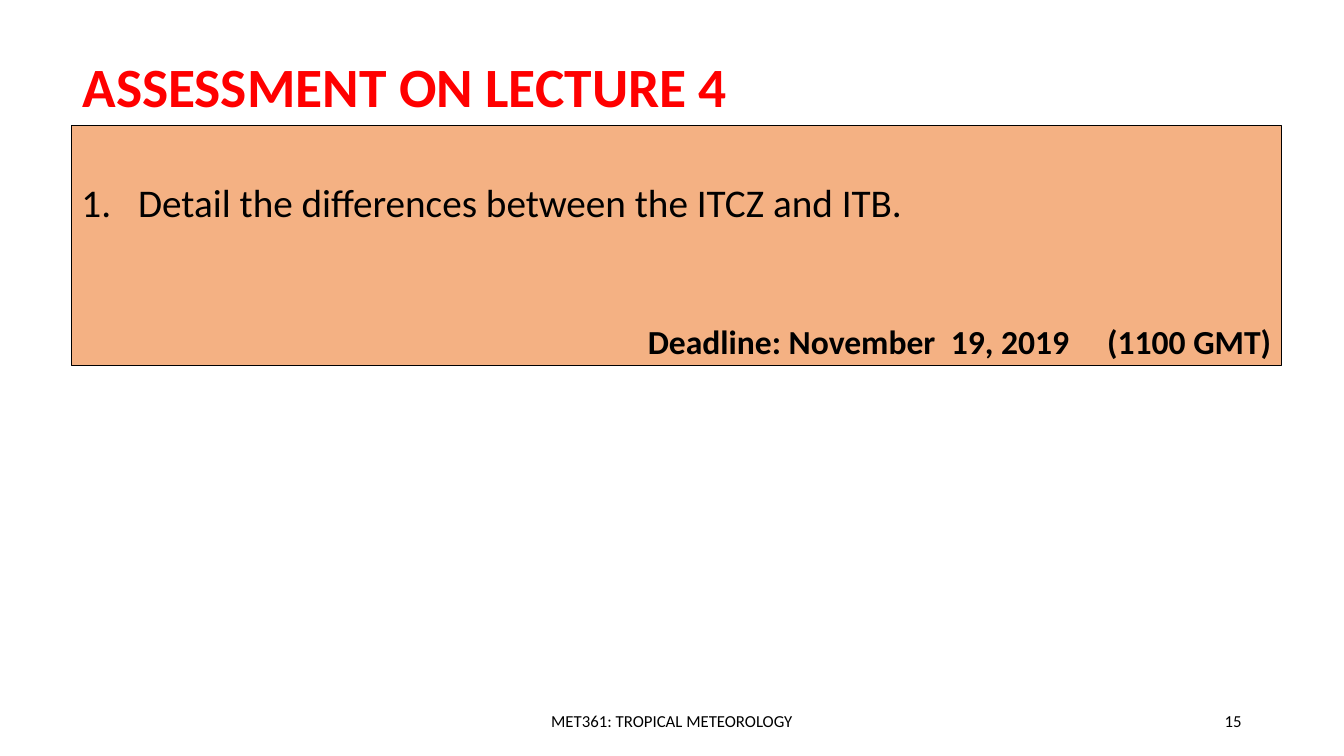
import pptx
import pptx.dml.color
import pptx.enum.shapes
import pptx.enum.text
import pptx.util
from pptx.util import Pt

RED = pptx.dml.color.RGBColor(0xFF, 0x00, 0x00)
BLACK = pptx.dml.color.RGBColor(0x00, 0x00, 0x00)
WHITE = pptx.dml.color.RGBColor(0xFF, 0xFF, 0xFF)
PEACH = pptx.dml.color.RGBColor(0xF4, 0xB1, 0x83)
ALIGN = pptx.enum.text.PP_ALIGN
ANCHOR = pptx.enum.text.MSO_ANCHOR


class Deck:
    """Hold the slide and its style, and draw each kind of element."""

    font = "Calibri"

    def __init__(self, width, height):
        self.prs = pptx.Presentation()
        self.prs.slide_width = Pt(width)
        self.prs.slide_height = Pt(height)
        self.s = self.prs.slides.add_slide(self.prs.slide_layouts[6])

    def style(self, p, size, color=BLACK, bold=False, align=ALIGN.LEFT):
        p.alignment = align
        p.font.name = self.font
        p.font.size = Pt(size)
        p.font.color.rgb = color
        p.font.bold = bold

    def label(self, text, x, y, w, h, size, **style):
        sp = self.s.shapes.add_textbox(Pt(x), Pt(y), Pt(w), Pt(h))
        tf = sp.text_frame
        tf.word_wrap = True
        tf.vertical_anchor = ANCHOR.MIDDLE
        p = tf.paragraphs[0]
        p.text = text
        self.style(p, size, **style)
        return sp

    def panel(self, x, y, w, h, fill, inset_top):
        sp = self.s.shapes.add_shape(
            pptx.enum.shapes.MSO_SHAPE.RECTANGLE, Pt(x), Pt(y), Pt(w), Pt(h))
        sp.shadow.inherit = False
        sp.fill.solid()
        sp.fill.fore_color.rgb = fill
        sp.line.color.rgb = BLACK
        sp.line.width = Pt(0.75)
        tf = sp.text_frame
        tf.word_wrap = True
        tf.vertical_anchor = ANCHOR.TOP
        tf.margin_top = Pt(inset_top)
        return tf

    def number(self, p, indent):
        pPr = p._p.get_or_add_pPr()
        pPr.set("marL", str(Pt(indent)))
        pPr.set("indent", str(-Pt(indent)))
        bullet = pptx.oxml.xmlchemy.OxmlElement("a:buAutoNum")
        bullet.set("type", "arabicPeriod")
        pPr.insert_element_before(bullet, "a:tabLst", "a:defRPr", "a:extLst")

    def gap(self, p, extra):
        r = p.add_run()
        r.text = " "
        r._r.get_or_add_rPr().set("spc", str(round(extra * 100)))


def main():
    deck = Deck(960, 540)

    title = deck.label("ASSESSMENT ON LECTURE 4", 51.84, 37.44, 648, 52.56,
                       39.6, color=RED, bold=True)
    title.fill.solid()
    title.fill.fore_color.rgb = WHITE
    title.text_frame.paragraphs[0].line_spacing = 0.9

    deck.label("MET361: TROPICAL METEOROLOGY", 318, 500.5, 324, 28.75, 12,
               align=ALIGN.CENTER)
    deck.label("15", 678, 500.5, 216, 28.75, 12, align=ALIGN.RIGHT)

    tf = deck.panel(51.12, 89.4, 864, 172, PEACH, 37.8)
    p = tf.paragraphs[0]
    p.text = "Detail the differences between the ITCZ and ITB."
    deck.style(p, 28)
    deck.number(p, 40.5)

    p = tf.add_paragraph()
    p.space_before = Pt(68.4)
    deck.style(p, 24, bold=True, align=ALIGN.RIGHT)
    p.add_run().text = "Deadline: November"
    deck.gap(p, 5.4)
    p.add_run().text = "19, 2019"
    deck.gap(p, 21.7)
    p.add_run().text = "(1100 GMT)"

    deck.prs.save("out.pptx")


if __name__ == "__main__":
    main()
